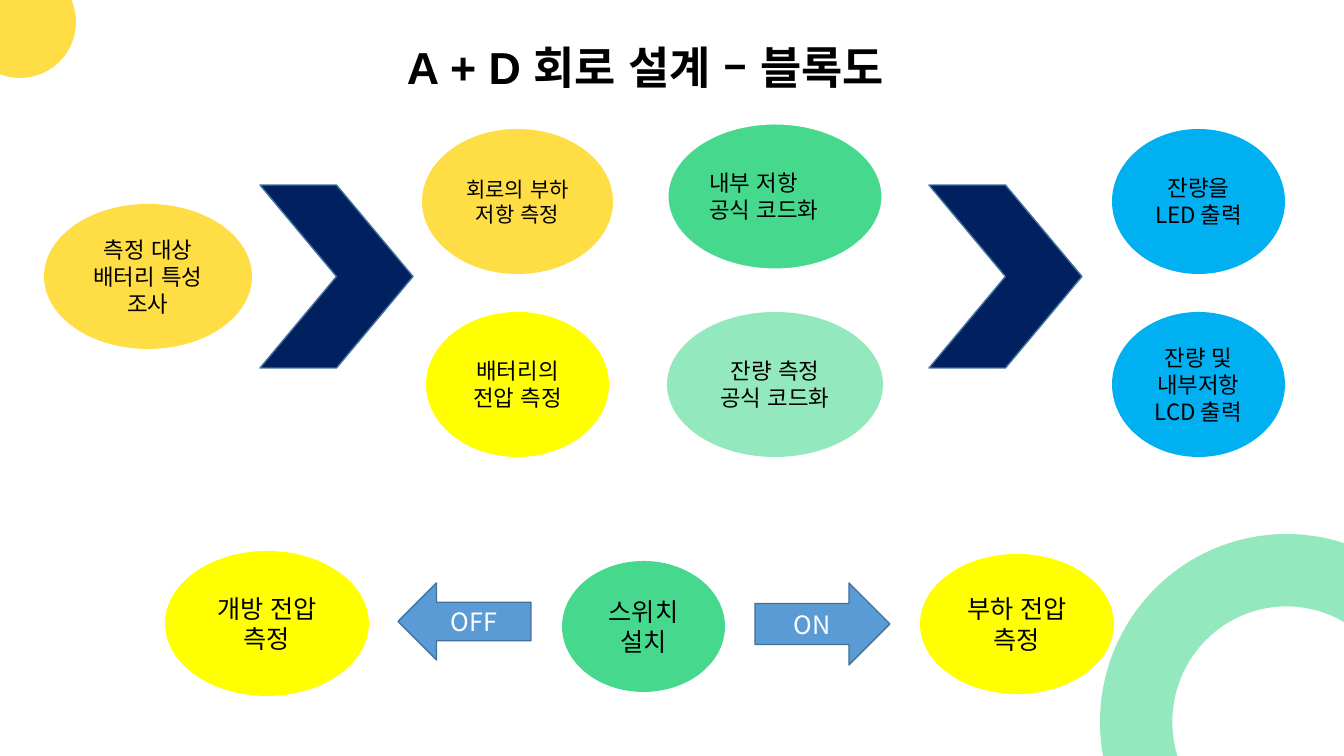
"""Builds the block diagram slide of the A + D circuit design."""
from lxml import etree
from pptx import Presentation
from pptx.dml.color import RGBColor
from pptx.enum.lang import MSO_LANGUAGE_ID
from pptx.enum.shapes import MSO_SHAPE
from pptx.enum.text import MSO_ANCHOR, PP_ALIGN
from pptx.oxml.ns import qn
from pptx.util import Emu, Pt

ELLIPSE, DONUT, CHEVRON = MSO_SHAPE.OVAL, MSO_SHAPE.DONUT, MSO_SHAPE.CHEVRON
LEFT_ARROW, RIGHT_ARROW = MSO_SHAPE.LEFT_ARROW, MSO_SHAPE.RIGHT_ARROW
LEFT, CENTER, MIDDLE = PP_ALIGN.LEFT, PP_ALIGN.CENTER, MSO_ANCHOR.MIDDLE
KOREAN = MSO_LANGUAGE_ID.KOREAN

EMU_PER_PX = 914400 / 100.8
BODY_FONT = "Noto Sans CJK KR"
COLORS = {
    "black": "000000", "white": "FFFFFF", "amber": "FFDD45",
    "yellow": "FFFF00", "green": "46D98E", "sky": "00B0F0",
    "navy": "002060", "blue": "5B9BD5", "outline": "42719B",
}
TOP_ROW, BOTTOM_ROW, ROW_HEIGHT = 129, 312, 145
CHEVRON_LEFTS = (260, 929)


def px(length):
    """Turn pixels into EMU."""
    return Emu(round(length * EMU_PER_PX))


def color(name):
    """Look up a named colour."""
    return RGBColor.from_string(COLORS[name])


def write_text(frame, lines, size, ink="black", align=CENTER, font=BODY_FONT, bold=False):
    """Fill a text frame with one paragraph per line."""
    frame.word_wrap = True
    frame.text = "\n".join(lines)
    for paragraph in frame.paragraphs:
        paragraph.alignment = align
        paragraph.font.name = font
        paragraph.font.size = Pt(size)
        paragraph.font.bold = bold
        paragraph.font.color.rgb = color(ink)
        paragraph.font.language_id = KOREAN
        properties = paragraph._p.pPr.find(qn("a:defRPr"))
        etree.SubElement(properties, qn("a:ea"), typeface=BODY_FONT)


def add_figure(slide, kind, box, fill, line=None, line_width=1, opacity=100):
    """Add a preset shape with a flat fill and an optional outline."""
    shape = slide.shapes.add_shape(kind, *map(px, box))
    shape.shadow.inherit = False
    shape.fill.solid()
    shape.fill.fore_color.rgb = color(fill)
    if opacity < 100:
        tint = shape._element.spPr.find(qn("a:solidFill"))[0]
        etree.SubElement(tint, qn("a:alpha"), val=str(opacity * 1000))
    if line:
        shape.line.color.rgb = color(line)
        shape.line.width = Pt(line_width)
    else:
        shape.line.fill.background()
    return shape


def add_step(slide, box, fill, *lines, kind=ELLIPSE, size=16, ink="black", align=CENTER, **style):
    """Add a labelled step of the diagram."""
    shape = add_figure(slide, kind, box, fill, **style)
    shape.text_frame.vertical_anchor = MIDDLE
    write_text(shape.text_frame, lines, size, ink, align)


def add_switch_arrow(slide, kind, box, label):
    """Add a block arrow that names a switch state."""
    add_step(slide, box, "blue", label, kind=kind, size=18, ink="white", line="outline")


def add_title(slide, text):
    """Add the slide title."""
    box = slide.shapes.add_textbox(*map(px, (397, 35, 549, 65)))
    write_text(box.text_frame, [text], 32, align=LEFT, font="Arial", bold=True)


def main():
    """Build and save the slide."""
    presentation = Presentation()
    presentation.slide_width, presentation.slide_height = px(1344), px(756)
    slide = presentation.slides.add_slide(presentation.slide_layouts[6])

    add_figure(slide, ELLIPSE, (-36, -34, 112, 112), "amber")
    ring = add_figure(slide, DONUT, (1100, 534, 373, 376), "green", opacity=58)
    ring.adjustments[0] = 0.194
    add_title(slide, "A + D 회로 설계 – 블록도")

    add_step(slide, (44, 204, 208, ROW_HEIGHT), "amber", "측정 대상 배터리 특성 조사")
    add_step(slide, (422, TOP_ROW, 191, ROW_HEIGHT), "amber", "회로의 부하 저항 측정", size=15)
    add_step(slide, (426, BOTTOM_ROW, 183, ROW_HEIGHT), "yellow", "배터리의 전압 측정")
    add_step(slide, (668, 124, 214, ROW_HEIGHT), "green", "내부 저항 공식 코드화",
             align=LEFT, line="white", line_width=0.75)
    add_step(slide, (667, BOTTOM_ROW, 216, ROW_HEIGHT), "green", "잔량 측정 공식 코드화", opacity=58)
    add_step(slide, (1112, TOP_ROW, 173, ROW_HEIGHT), "sky", "잔량을 LED 출력")
    add_step(slide, (1112, BOTTOM_ROW, 173, ROW_HEIGHT), "sky", "잔량 및 내부저항", "LCD 출력")
    for left in CHEVRON_LEFTS:
        add_figure(slide, CHEVRON, (left, 185, 153, 183), "navy", line="outline")

    add_step(slide, (165, 551, 204, ROW_HEIGHT), "yellow", "개방 전압 측정", size=18)
    add_step(slide, (920, 554, 194, 140), "yellow", "부하 전압 측정", size=18)
    add_step(slide, (562, 561, 163, 131), "green", "스위치 설치", size=18)
    add_switch_arrow(slide, LEFT_ARROW, (398, 583, 133, 77), "OFF")
    add_switch_arrow(slide, RIGHT_ARROW, (755, 583, 135, 82), "ON")

    presentation.save("out.pptx")


if __name__ == "__main__":
    main()
